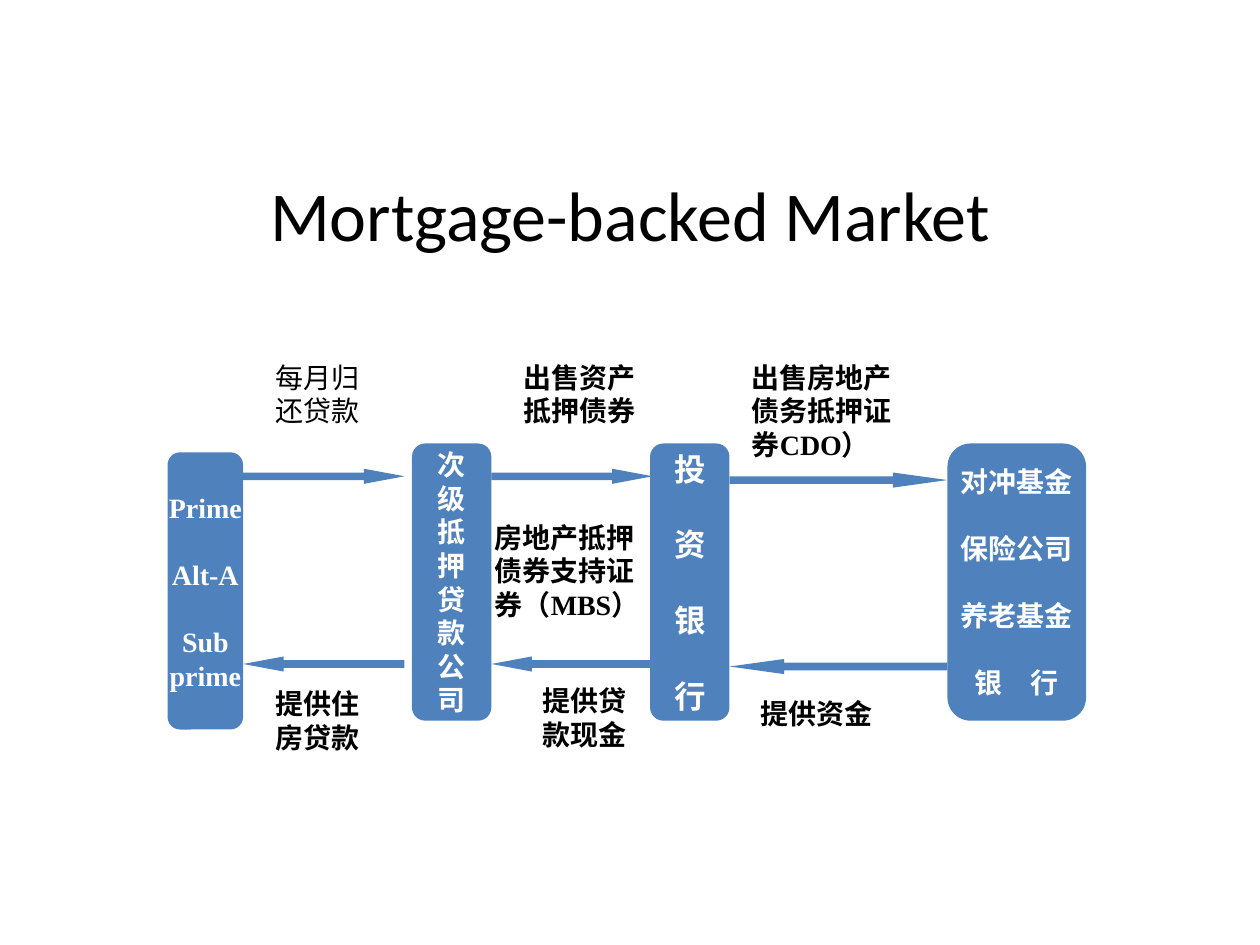
from pptx import Presentation
from pptx.dml.color import RGBColor
from pptx.enum.shapes import MSO_SHAPE as Shape
from pptx.enum.text import MSO_ANCHOR as Anchor, PP_ALIGN as Align
from pptx.util import Inches, Pt
from lxml.etree import SubElement
from pptx.oxml.ns import qn


class Theme:
    blue = RGBColor(0x4F, 0x81, 0xBD)
    white = RGBColor(0xFF, 0xFF, 0xFF)
    black = RGBColor(0, 0, 0)
    title_size, body_size, large_size = 40, 16, 18
    title_font, serif, sans, chinese = (
        "Calibri", "Times New Roman", "Arial", "Noto Sans CJK SC")
    line_factor = 1.2


TITLE = "Mortgage-backed Market"

# Left, top, width, height, font, size, lines; a tuple holds lines kept together
PARTIES = [
    (1.33, 3.59, 0.6, 2.2, Theme.serif, Theme.body_size,
     [("Prime",), ("Alt-A",), ("Sub", "prime")]),
    (3.27, 3.52, 0.63, 2.2, Theme.sans, Theme.body_size,
     [tuple("次级抵押贷款公司")]),
    (5.16, 3.52, 0.63, 2.2, Theme.sans, Theme.large_size,
     [("投",), ("资",), ("银",), ("行",)]),
    (7.52, 3.52, 1.1, 2.2, Theme.chinese, Theme.body_size,
     [("对冲基金",), ("保险公司",), ("养老基金",), ("银　行",)]),
]

# Left, width, top of right arrow, top of left arrow, head length ratio
FLOWS = [
    (1.93, 1.28, 3.72, 5.21, 2.68),
    (3.9, 1.28, 3.72, 5.21, 2.68),
    (5.79, 1.73, 3.75, 5.23, 3.61),
]
ARROW_HEIGHT = 0.12

# Left, top, width, height, bold, text
LABELS = [
    (2.09, 2.81, 0.94, 0.64, False, "每月归还贷款"),
    (4.06, 2.81, 1.18, 0.64, True, "出售资产抵押债券"),
    (3.83, 4.08, 1.5, 0.9, True, "房地产抵押债券支持证券（MBS）"),
    (5.87, 2.81, 1.34, 0.9, True, "出售房地产债务抵押证券CDO）"),
    (5.94, 5.48, 1.18, 0.37, True, "提供资金"),
    (4.21, 5.38, 1.02, 0.64, True, "提供贷款现金"),
    (2.09, 5.4, 0.94, 0.64, True, "提供住房贷款"),
]


def format_para(para, font, size, color, bold):
    for span in para.runs:
        span.font.name = font
        span.font.size = Pt(size)
        span.font.bold = bold
        span.font.color.rgb = color
        east_asian = SubElement(span.font._element, qn("a:ea"))
        east_asian.set("typeface", Theme.chinese)


def add_blue_shape(page, kind, *place):
    shape = page.shapes.add_shape(kind, *map(Inches, place))
    shape.shadow.inherit = False
    shape.fill.solid()
    shape.fill.fore_color.rgb = Theme.blue
    shape.line.fill.background()
    return shape


def add_text(page, place, text):
    box = page.shapes.add_textbox(*map(Inches, place))
    box.text_frame.word_wrap = True
    box.text_frame.text = text
    return box.text_frame


def add_party(page, left, top, width, height, font, size, groups):
    box = add_blue_shape(page, Shape.ROUNDED_RECTANGLE, left, top, width, height)
    frame = box.text_frame
    frame.word_wrap = False
    frame.vertical_anchor = Anchor.MIDDLE
    frame.text = "\n".join(line for group in groups for line in group)
    pitch = Pt(size * Theme.line_factor)
    starts = [sum(map(len, groups[:i])) for i in range(1, len(groups))]
    for index, para in enumerate(frame.paragraphs):
        para.alignment = Align.CENTER
        para.line_spacing = pitch
        if index in starts:
            para.space_before = pitch
        format_para(para, font, size, Theme.white, True)


def main():
    deck = Presentation()
    deck.slide_width, deck.slide_height = Inches(10), Inches(7.5)
    page = deck.slides.add_slide(deck.slide_layouts[6])

    # Title
    frame = add_text(page, (0.35, 1.5, 9.3, 0.39), TITLE)
    frame.vertical_anchor = Anchor.MIDDLE
    frame.paragraphs[0].alignment = Align.CENTER
    format_para(frame.paragraphs[0], Theme.title_font, Theme.title_size,
                Theme.black, False)

    # Payment and funding arrows
    for left, width, upper, lower, head in FLOWS:
        for kind, top in ((Shape.RIGHT_ARROW, upper), (Shape.LEFT_ARROW, lower)):
            arrow = add_blue_shape(page, kind, left, top, width, ARROW_HEIGHT)
            arrow.adjustments[0] = 0.5
            arrow.adjustments[1] = head

    # Arrow labels
    for *place, bold, text in LABELS:
        para = add_text(page, place, text).paragraphs[0]
        para.line_spacing = Pt(Theme.body_size * Theme.line_factor)
        format_para(para, Theme.serif, Theme.body_size, Theme.black, bold)

    # Market parties
    for party in PARTIES:
        add_party(page, *party)

    deck.save("out.pptx")


if __name__ == "__main__":
    main()
